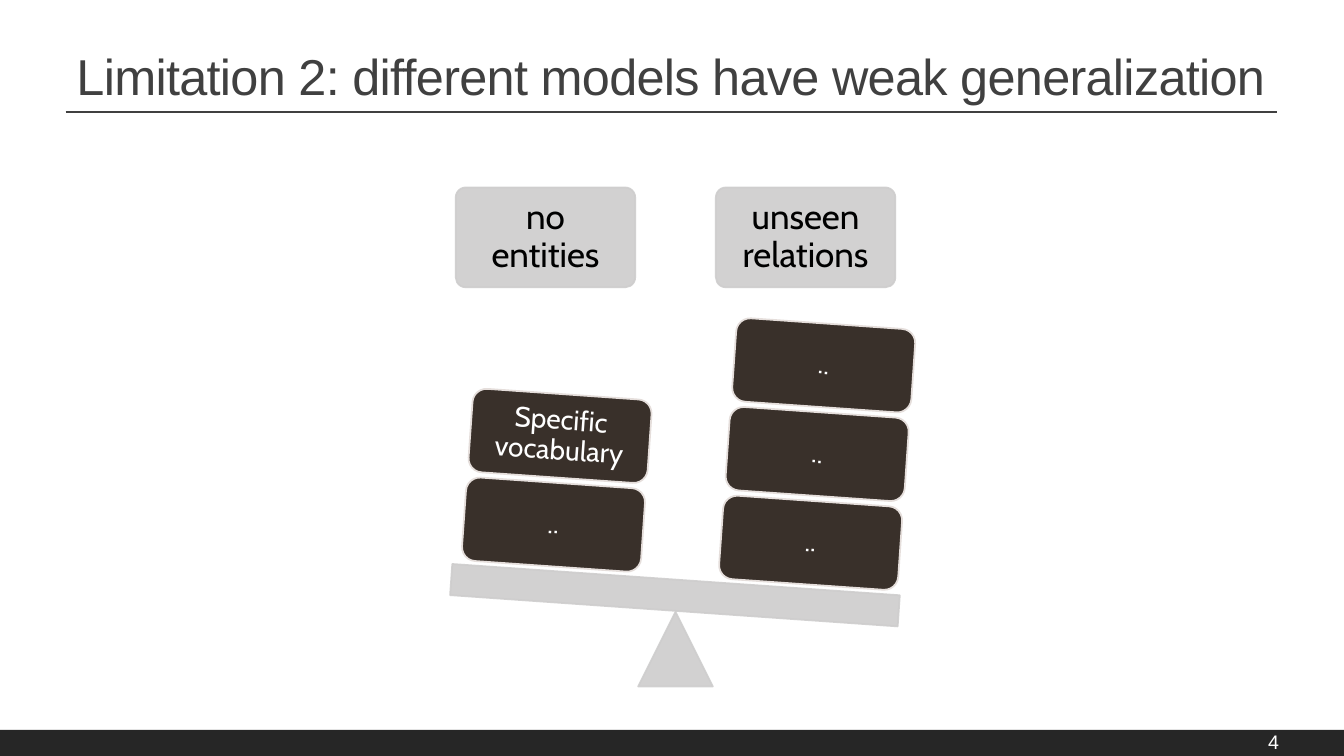
from lxml.etree import SubElement
from pptx import Presentation
from pptx.dml.color import RGBColor
from pptx.enum.shapes import MSO_CONNECTOR, MSO_SHAPE
from pptx.enum.text import MSO_ANCHOR, PP_ALIGN
from pptx.oxml.ns import qn
from pptx.util import Inches, Pt

GREY, BROWN, BLOCK_EDGE = "CECDCD", "39302A", "E5DEDB"
BLACK, WHITE, DARK, FOOTER = "000000", "FFFFFF", "404040", "262626"
TILT = 4
BLOCK_W, BLOCK_H = 1.78, 0.83
STEP_X, STEP_Y = 0.065, 0.88


def rgb(value):
    return RGBColor.from_string(value)


class SlideBuilder:
    heading_font = "Arial"
    body_font = "Cabin"

    def __init__(self, prs):
        self.s = prs.slides.add_slide(prs.slide_layouts[6])

    def paint(self, fill, color, alpha=None):
        fill.solid()
        fill.fore_color.rgb = rgb(color)
        if alpha is not None:
            srgb = fill._xPr.find(qn("a:solidFill")).find(qn("a:srgbClr"))
            SubElement(srgb, qn("a:alpha")).set("val", str(alpha * 1000))

    def set_text(self, tf, text, size, color, font, spacing=None):
        tf.text = text
        tf.word_wrap = True
        p = tf.paragraphs[0]
        p.line_spacing = 0.9
        r = p.runs[0]
        r.font.size = Pt(size)
        r.font.name = font
        r.font.color.rgb = rgb(color)
        if spacing is not None:
            r._r.get_or_add_rPr().set("spc", str(int(spacing * 100)))
        return p

    def shape(self, kind, x, y, w, h, fill, line=None, alpha=None, rotation=0):
        sp = self.s.shapes.add_shape(kind, Inches(x), Inches(y), Inches(w), Inches(h))
        sp.shadow.inherit = False
        sp.rotation = rotation
        self.paint(sp.fill, fill, alpha)
        if line:
            self.paint(sp.line.fill, line, alpha)
            sp.line.width = Pt(1.25)
        else:
            sp.line.fill.background()
        return sp

    def label(self, sp, text, size, color, inset):
        tf = sp.text_frame
        tf.vertical_anchor = MSO_ANCHOR.MIDDLE
        tf.margin_left = tf.margin_right = Inches(inset)
        tf.margin_top = tf.margin_bottom = Inches(inset)
        p = self.set_text(tf, text, size, color, self.body_font)
        p.alignment = PP_ALIGN.CENTER

    def text(self, x, y, w, h, text, size, color, anchor, spacing=None):
        sp = self.s.shapes.add_textbox(Inches(x), Inches(y), Inches(w), Inches(h))
        sp.text_frame.vertical_anchor = anchor
        self.set_text(sp.text_frame, text, size, color, self.heading_font, spacing)

    def rule(self, x1, x2, y, color):
        line = self.s.shapes.add_connector(
            MSO_CONNECTOR.STRAIGHT, Inches(x1), Inches(y), Inches(x2), Inches(y))
        line.line.color.rgb = rgb(color)
        line.line.width = Pt(1)
        SubElement(line._element.spPr, qn("a:effectLst"))

    def header(self, x, text):
        sp = self.shape(MSO_SHAPE.ROUNDED_RECTANGLE, x, 1.86, 1.78, 0.99, GREY, GREY, 90)
        sp.adjustments[0] = 0.1
        self.label(sp, text, 25, BLACK, 0.1)

    def stack(self, x, y, labels):
        """Pile tilted blocks upward from the beam."""
        for i, text in enumerate(labels):
            sp = self.shape(MSO_SHAPE.ROUNDED_RECTANGLE, x + i * STEP_X, y - i * STEP_Y,
                            BLOCK_W, BLOCK_H, BROWN, BLOCK_EDGE, rotation=TILT)
            self.label(sp, text, 20, WHITE, 0.08)


def main():
    prs = Presentation()
    prs.slide_width, prs.slide_height = Inches(13.33), Inches(7.5)
    b = SlideBuilder(prs)

    # Footer bar, title and page number
    b.shape(MSO_SHAPE.RECTANGLE, 0, 7.24, 13.33, 0.26, FOOTER)
    b.rule(0.65, 12.67, 1.11, DARK)
    b.text(0.66, 0.31, 12.08, 0.8, "Limitation 2: different models have weak generalization",
           36, DARK, MSO_ANCHOR.BOTTOM, spacing=-0.5)
    b.text(12.48, 7.17, 0.85, 0.4, "4", 14, WHITE, MSO_ANCHOR.MIDDLE)

    # Headings above the two stacks
    b.header(4.52, "no entities")
    b.header(7.1, "unseen relations")

    # Fulcrum and beam
    b.shape(MSO_SHAPE.ISOSCELES_TRIANGLE, 6.33, 6.07, 0.74, 0.74, GREY, GREY, 90)
    b.shape(MSO_SHAPE.RECTANGLE, 4.47, 5.75, 4.45, 0.31, GREY, GREY, 90, TILT)

    # Weights, listed from the bottom up
    b.stack(7.15, 4.97, ["..", "..", ".."])
    b.stack(4.6, 4.79, ["..", "Specific vocabulary"])

    prs.save("out.pptx")


if __name__ == "__main__":
    main()
